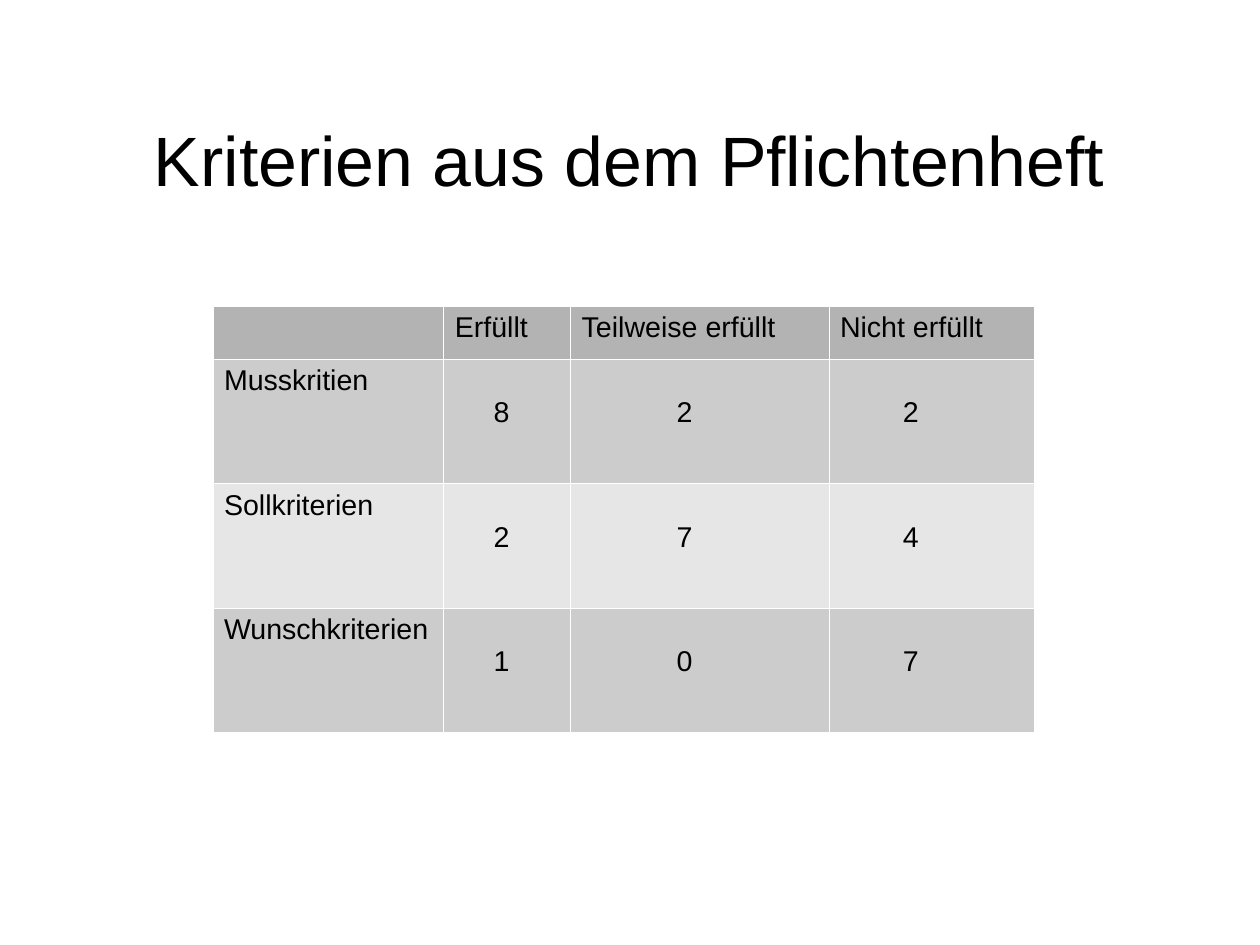
from lxml import etree
from pptx import Presentation
from pptx import util as u
from pptx.dml.color import RGBColor
from pptx.enum import text
from pptx.oxml import ns

BLACK = RGBColor(0x00, 0x00, 0x00)
WHITE = RGBColor(0xFF, 0xFF, 0xFF)
HEAD = RGBColor(0xB3, 0xB3, 0xB3)
DARK = RGBColor(0xCC, 0xCC, 0xCC)
LIGHT = RGBColor(0xE6, 0xE6, 0xE6)

ROWS = [
    ["", "Erfüllt", "Teilweise erfüllt", "Nicht erfüllt"],
    ["Musskritien", "8", "2", "2"],
    ["Sollkriterien", "2", "7", "4"],
    ["Wunschkriterien", "1", "0", "7"],
]
FILLS = [HEAD, DARK, LIGHT, DARK]
WIDTHS = [2.02, 1.11, 2.26, 1.8]
HEIGHTS = [0.46, 1.09, 1.09, 1.09]
INDENTS = [0.1, 0.44, 0.93, 0.65]


def apply(obj, form):
    for name, value in form.items():
        setattr(obj, name, value)


def write(frame, words, size):
    para = frame.paragraphs[0]
    run = para.add_run()
    run.text = words
    apply(run.font, {"size": u.Pt(size), "name": "Arial"})
    run.font.color.rgb = BLACK
    return para


def add_title(slide, words):
    box = slide.shapes.add_textbox(
        u.Inches(0.55), u.Inches(0.33), u.Inches(9.92), u.Inches(1.42))
    sides = ("left", "top", "right", "bottom")
    apply(box.text_frame, {f"margin_{side}": 0 for side in sides})
    apply(box.text_frame, {
        "word_wrap": True, "vertical_anchor": text.MSO_ANCHOR.BOTTOM})
    write(box.text_frame, words, 44).alignment = text.PP_ALIGN.CENTER


def add_edges(cell):
    props = cell._tc.get_or_add_tcPr()
    for spot, side in enumerate("LRTB"):
        line = etree.Element(ns.qn(f"a:ln{side}"), w=str(u.Pt(0.06)))
        fill = etree.SubElement(line, ns.qn("a:solidFill"))
        etree.SubElement(fill, ns.qn("a:srgbClr"), val=str(WHITE))
        props.insert(spot, line)


def fill_cell(cell, words, color, left, top):
    apply(cell, {
        "margin_left": u.Inches(left), "margin_top": u.Inches(top),
        "margin_right": u.Inches(0.1), "margin_bottom": u.Inches(0.05),
        "vertical_anchor": text.MSO_ANCHOR.TOP})
    cell.fill.solid()
    cell.fill.fore_color.rgb = color
    add_edges(cell)
    if words:
        write(cell.text_frame, words, 18)


def add_grid(slide):
    grid = slide.shapes.add_table(
        len(ROWS), len(WIDTHS), u.Inches(1.86), u.Inches(2.68),
        u.Inches(sum(WIDTHS)), u.Inches(sum(HEIGHTS))).table
    for col, width in zip(grid.columns, WIDTHS):
        col.width = u.Inches(width)
    for row, height in zip(grid.rows, HEIGHTS):
        row.height = u.Inches(height)
    for r, row in enumerate(ROWS):
        for c, words in enumerate(row):
            count = words.isdigit()
            left, top = (INDENTS[c], 0.33) if count else (0.1, 0.05)
            fill_cell(grid.cell(r, c), words, FILLS[r], left, top)


def main():
    deck = Presentation()
    deck.slide_width = u.Inches(28 / 2.54)
    deck.slide_height = u.Inches(21 / 2.54)
    slide = deck.slides.add_slide(deck.slide_layouts[6])
    add_title(slide, "Kriterien aus dem Pflichtenheft")
    add_grid(slide)
    deck.save("out.pptx")


if __name__ == "__main__":
    main()
